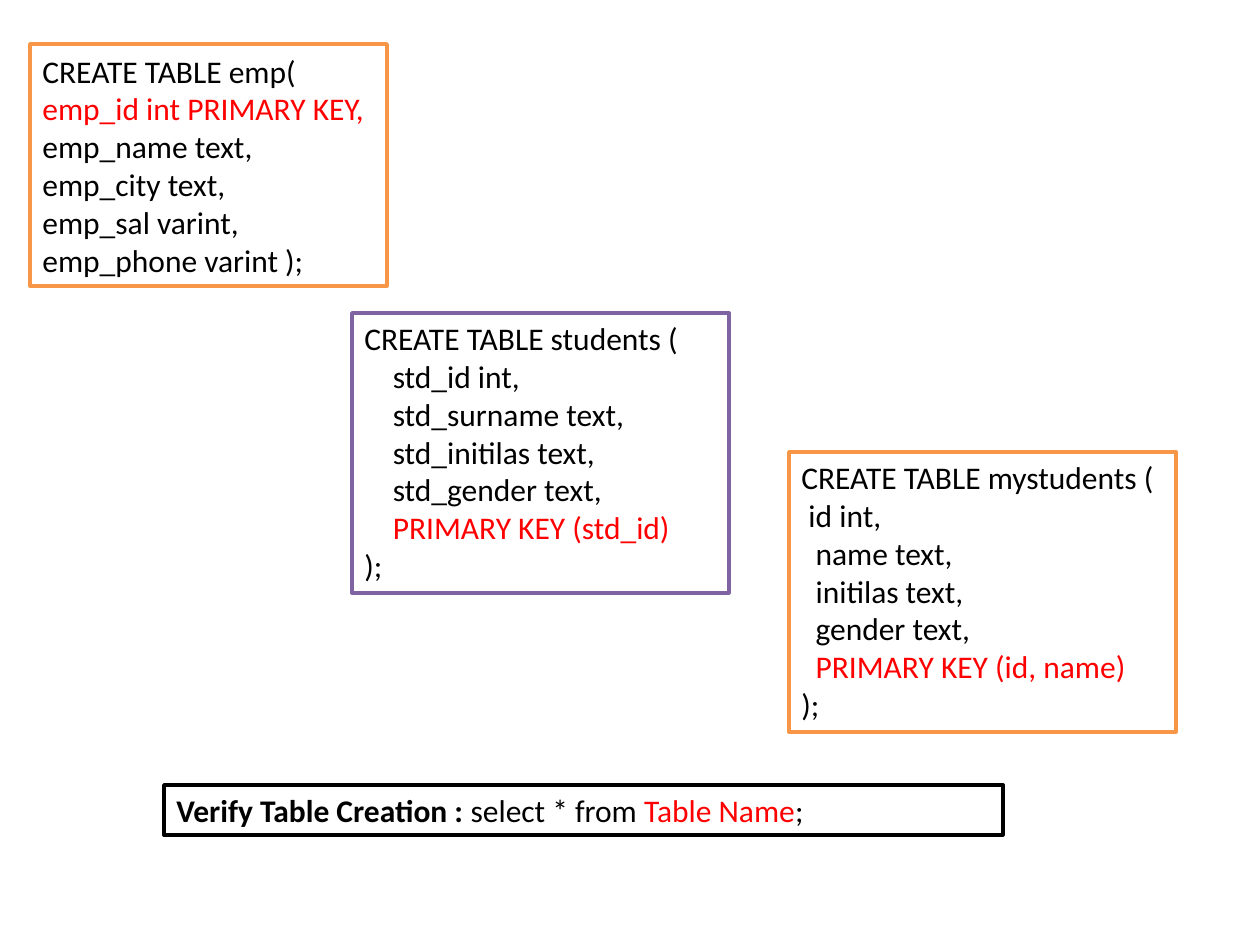
"""Builds a slide of SQL table creation examples with primary keys."""
from dataclasses import dataclass

from pptx import Presentation
from pptx.dml.color import RGBColor as Color
from pptx.enum.shapes import MSO_SHAPE as Shape
from pptx.enum.text import MSO_ANCHOR as Anchor, MSO_AUTO_SIZE as AutoSize, PP_ALIGN as Align
from pptx.util import Emu, Pt

EMU_PER_PX = 914400 / 126


@dataclass(frozen=True)
class Theme:
    font: str = "Calibri"
    text_size: int = 18
    line_width: int = 2
    paper: str = "FFFFFF"
    ink: str = "000000"
    key: str = "FF0000"
    orange: str = "F79646"
    purple: str = "8064A2"


def px(length):
    return Emu(round(length * EMU_PER_PX))


def apply(target, values):
    for name, value in values.items():
        setattr(target, name, value)


class SlideBuilder:
    def __init__(self, presentation, theme):
        self.theme = theme
        self.slide = presentation.slides.add_slide(presentation.slide_layouts[6])

    def box(self, bounds, border, paragraphs, anchor=Anchor.TOP):
        shape = self.slide.shapes.add_shape(Shape.RECTANGLE, *map(px, bounds))
        shape.shadow.inherit = False
        shape.fill.solid()
        shape.fill.fore_color.rgb = Color.from_string(self.theme.paper)
        shape.line.color.rgb = Color.from_string(border)
        shape.line.width = Pt(self.theme.line_width)
        frame = shape.text_frame
        apply(frame, {"word_wrap": True, "vertical_anchor": anchor,
                      "auto_size": AutoSize.SHAPE_TO_FIT_TEXT})
        for index, runs in enumerate(paragraphs):
            paragraph = frame.add_paragraph() if index else frame.paragraphs[0]
            paragraph.alignment = Align.LEFT
            for run in runs:
                self.run(paragraph, *run)

    def run(self, paragraph, text, color=None, bold=False):
        run = paragraph.add_run()
        run.text = text
        apply(run.font, {"name": self.theme.font, "size": Pt(self.theme.text_size), "bold": bold})
        run.font.color.rgb = Color.from_string(color or self.theme.ink)


def main():
    theme = Theme()
    presentation = Presentation()
    apply(presentation, {"slide_width": px(1260), "slide_height": px(945)})
    builder = SlideBuilder(presentation, theme)

    builder.box((30, 44, 357, 242), theme.orange, [
        [("CREATE TABLE emp(",)],
        [("emp_id int PRIMARY KEY, ", theme.key), ("emp_name text,",)],
        [("emp_city text,",)],
        [("emp_sal varint,",)],
        [("emp_phone varint );",)],
    ], Anchor.MIDDLE)
    builder.box((352, 313, 377, 280), theme.purple, [
        [("CREATE TABLE students (",)],
        [("    std_id int,",)],
        [("    std_surname text,",)],
        [("    std_initilas text,",)],
        [("    std_gender text,",)],
        [("    PRIMARY KEY (std_id)", theme.key)],
        [(");",)],
    ])
    builder.box((789, 452, 387, 280), theme.orange, [
        [("CREATE TABLE mystudents (",)],
        [(" id int,",)],
        [("  name text,",)],
        [("  initilas text,",)],
        [("  gender text,",)],
        [("  PRIMARY KEY (id, name)", theme.key)],
        [(");",)],
    ])
    builder.box((164, 785, 839, 50), theme.ink, [
        [("Verify Table Creation : ", theme.ink, True), ("select * from ",),
         ("Table Name", theme.key), (";",)],
    ])
    presentation.save("out.pptx")


if __name__ == "__main__":
    main()
